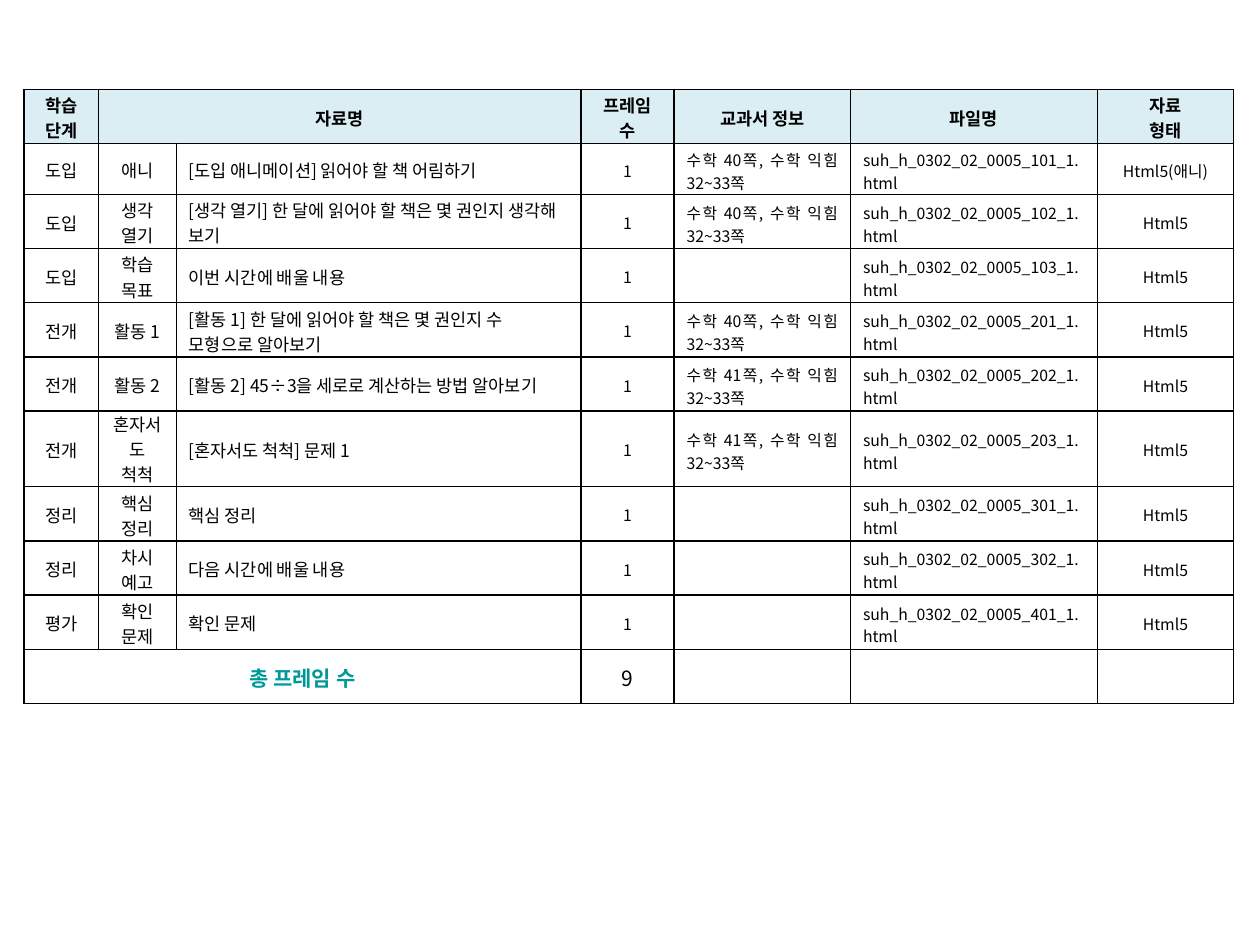
from dataclasses import dataclass

from lxml.etree import SubElement
from pptx import Presentation
from pptx.dml.color import RGBColor
from pptx.enum.text import MSO_ANCHOR, PP_ALIGN
from pptx.oxml.ns import qn
from pptx.util import Inches, Pt


@dataclass(frozen=True)
class Theme:
    font: str = "Noto Sans CJK KR"
    ink: str = "000000"
    accent: str = "009999"
    header_fill: str = "DBEEF4"
    small: int = 9
    body: int = 10
    total: int = 12


THEME = Theme()
CENTER, LEFT, JUSTIFY = PP_ALIGN.CENTER, PP_ALIGN.LEFT, PP_ALIGN.JUSTIFY


def draw_borders(cell):
    properties = cell._tc.get_or_add_tcPr()
    for position, side in enumerate(("a:lnL", "a:lnR", "a:lnT", "a:lnB")):
        border = properties.makeelement(qn(side), {"w": str(Pt(1))})
        properties.insert(position, border)
        fill = SubElement(border, qn("a:solidFill"))
        SubElement(fill, qn("a:srgbClr"), val=THEME.ink)


def write(cell, text, size, align=CENTER, bold=False, color=THEME.ink):
    cell.text = text
    for paragraph in cell.text_frame.paragraphs:
        paragraph.alignment = align
        font = paragraph.font
        font.size, font.bold, font.name = Pt(size), bold, THEME.font
        font.color.rgb = RGBColor.from_string(color)
        # Korean letters take the East Asian typeface
        SubElement(font._element, qn("a:ea"), typeface=THEME.font)
        if not text:
            paragraph._p.get_or_add_endParaRPr().set("sz", str(size * 100))


# Content
headers = ["학습 단계", "자료명", "", "프레임 수", "교과서 정보", "파일명", "자료\n형태"]
page_40 = "수학 40쪽, 수학 익힘 32~33쪽"
page_41 = "수학 41쪽, 수학 익힘 32~33쪽"
materials = [
    ("도입", "애니", "[도입 애니메이션] 읽어야 할 책 어림하기", page_40, 101, "Html5(애니)"),
    ("도입", "생각 열기", "[생각 열기] 한 달에 읽어야 할 책은 몇 권인지 생각해 보기", page_40, 102, "Html5"),
    ("도입", "학습 목표", "이번 시간에 배울 내용", "", 103, "Html5"),
    ("전개", "활동 1", "[활동 1] 한 달에 읽어야 할 책은 몇 권인지 수 모형으로 알아보기", page_40, 201, "Html5"),
    ("전개", "활동 2", "[활동 2] 45÷3을 세로로 계산하는 방법 알아보기", page_41, 202, "Html5"),
    ("전개", "혼자서도\v척척", "[혼자서도 척척] 문제 1", page_41, 203, "Html5"),
    ("정리", "핵심 정리", "핵심 정리", "", 301, "Html5"),
    ("정리", "차시 예고", "다음 시간에 배울 내용", "", 302, "Html5"),
    ("평가", "확인 문제", "확인 문제", "", 401, "Html5"),
]
column_widths = [0.59, 0.62, 3.21, 0.74, 1.4, 1.96, 1.08]
row_heights = [0.43, 0.4] + [0.43] * 4 + [0.6] + [0.43] * 4
column_aligns = [CENTER, CENTER, LEFT, CENTER, JUSTIFY, JUSTIFY, CENTER]
column_sizes = [THEME.body] * 3 + [THEME.small] * 4

# Slide
presentation = Presentation()
presentation.slide_width, presentation.slide_height = Inches(10), Inches(7.5)
slide = presentation.slides.add_slide(presentation.slide_layouts[6])

# Table grid
lesson_table = slide.shapes.add_table(
    len(row_heights), len(column_widths),
    Inches(0.19), Inches(0.71), Inches(9.6), Inches(4.9),
).table
for column, width in zip(lesson_table.columns, column_widths):
    column.width = Inches(width)
for row, height in zip(lesson_table.rows, row_heights):
    row.height = Inches(height)
last_row = len(row_heights) - 1
lesson_table.cell(0, 1).merge(lesson_table.cell(0, 2))
lesson_table.cell(last_row, 0).merge(lesson_table.cell(last_row, 2))

# Cell fills, borders and margins that keep two lines within a row
for row_index, row in enumerate(lesson_table.rows):
    for column_index, cell in enumerate(row.cells):
        cell.vertical_anchor = MSO_ANCHOR.MIDDLE
        if row_index == 0:
            cell.fill.solid()
            cell.fill.fore_color.rgb = RGBColor.from_string(THEME.header_fill)
        else:
            cell.fill.background()
        draw_borders(cell)
        wraps_small = row_index > 0 and column_index in (4, 5)
        cell.margin_top = Inches(0.04 if wraps_small else 0.02)
        cell.margin_bottom = Inches(0)

# The three-line activity fills its row
three_line_cell = lesson_table.cell(6, 1)
three_line_cell.margin_top = Inches(0)

# Header row
for cell, header in zip(lesson_table.rows[0].cells, headers):
    write(cell, header, THEME.body, bold=True)

# One row per learning material
for row_index, (stage, activity, title, pages, number, kind) in enumerate(materials, 1):
    file_name = f"suh_h_0302_02_0005_{number}_1.html"
    values = [stage, activity, title, "1", pages, file_name, kind]
    cells = lesson_table.rows[row_index].cells
    for cell, value, size, align in zip(cells, values, column_sizes, column_aligns):
        write(cell, value, size, align)

# Total row
total_cells = list(lesson_table.rows[last_row].cells)
for cell in total_cells:
    write(cell, "", THEME.small)
write(total_cells[0], "총 프레임 수", THEME.total, bold=True, color=THEME.accent)
write(total_cells[3], str(len(materials)), THEME.total)

presentation.save("out.pptx")
